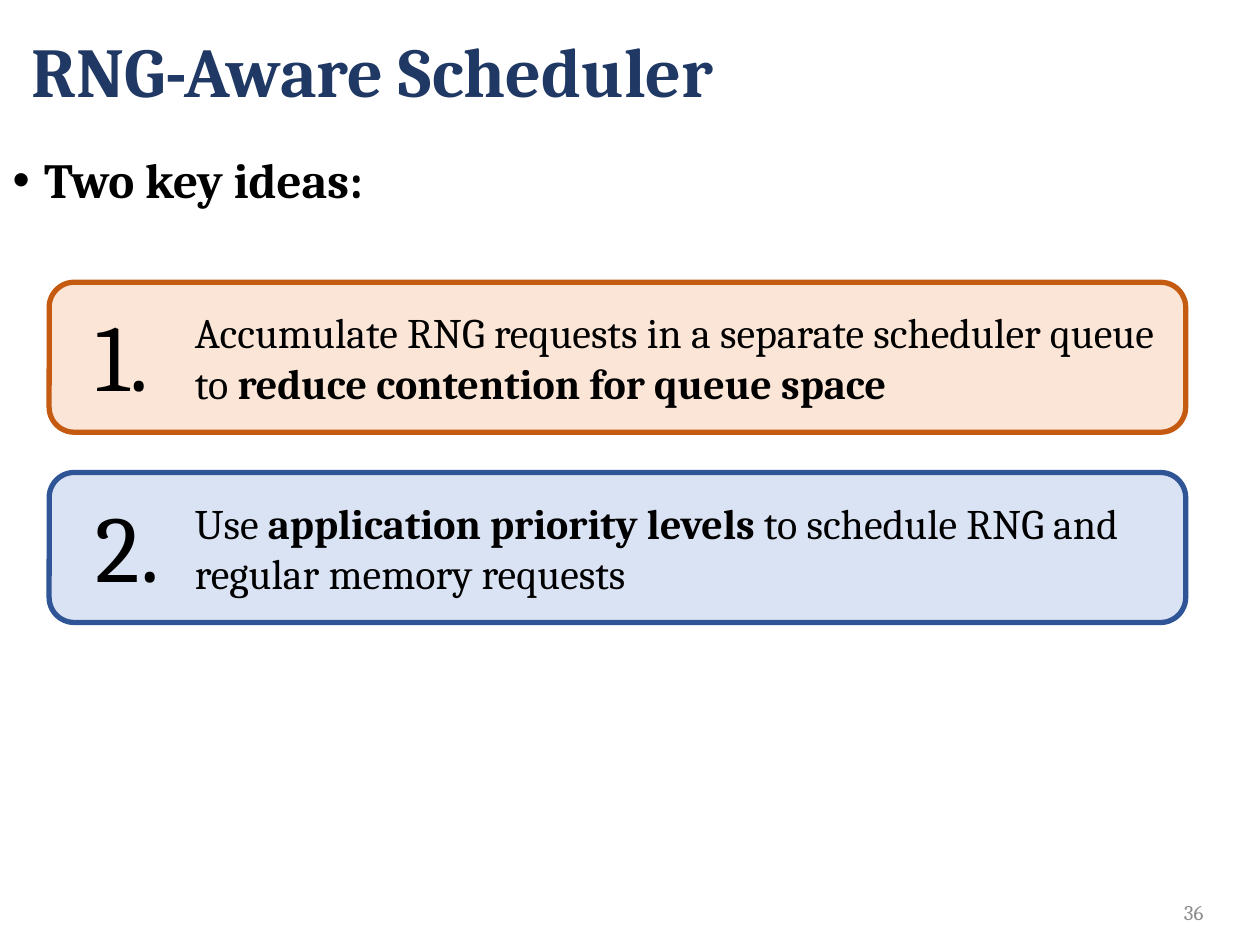
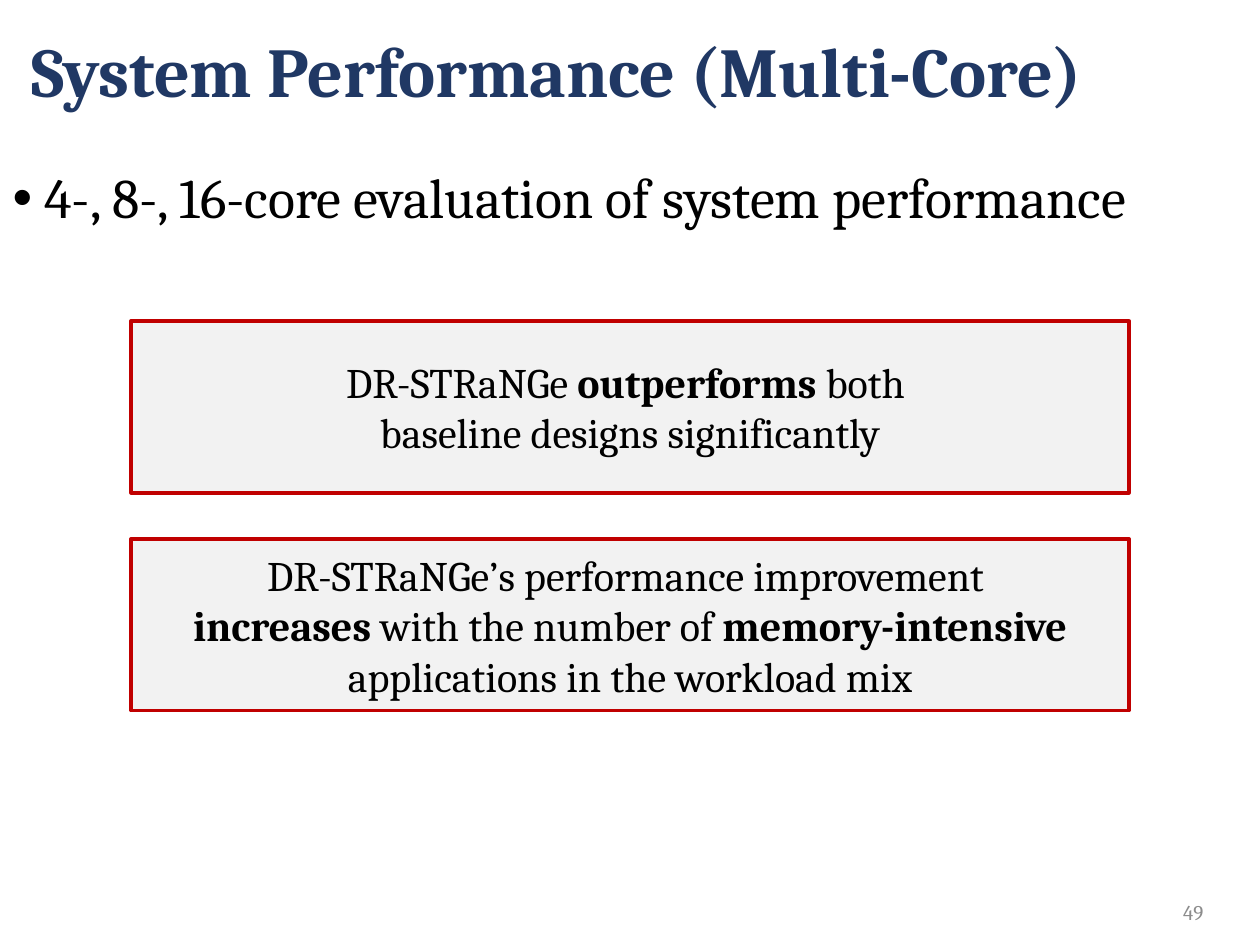
from lxml.etree import SubElement
from pptx import Presentation
from pptx.dml.color import RGBColor
from pptx.enum.shapes import MSO_SHAPE
from pptx.enum.text import MSO_ANCHOR, MSO_AUTO_SIZE, PP_ALIGN
from pptx.oxml.ns import qn
from pptx.util import Inches, Pt

FONT = "Cambria"
NAVY = RGBColor(0x20, 0x38, 0x64)
BLACK = RGBColor(0, 0, 0)
GRAY = RGBColor(0x8C, 0x8C, 0x8C)
PEACH = RGBColor(0xFB, 0xE5, 0xD6)
ORANGE = RGBColor(0xC5, 0x5A, 0x11)
PALE_BLUE = RGBColor(0xDA, 0xE3, 0xF3)
BLUE = RGBColor(0x2F, 0x55, 0x97)
LIGHT_GRAY = RGBColor(0xF2, 0xF2, 0xF2)
RED = RGBColor(0xC0, 0, 0)

# Text is a list of (words, bold) runs; a newline is a line break.
IDEAS = [
    ([("Accumulate RNG requests in a separate scheduler queue to ", False),
      ("reduce contention for queue space", True)], PEACH, ORANGE),
    ([("Use ", False), ("application priority levels ", True),
      ("to schedule RNG and regular memory requests", False)], PALE_BLUE, BLUE),
]
FINDINGS = [
    [("DR-STRaNGe ", False), ("outperforms ", True),
     ("both \nbaseline designs significantly", False)],
    [("DR-STRaNGe’s performance improvement \n", False), ("increases ", True),
     ("with the number of ", False), ("memory-intensive ", True),
     ("applications in the workload mix", False)],
]

TITLE_AREA = (0.15, 0, 9.73, 1.19)
NUMBER_AREA = (9.18, 7.13, 0.47, 0.22)
BODY_BOTTOM = 6.75
IDEA_AREA, IDEA_PITCH = (0.39, 2.24, 9.02, 1.19), 1.51
FINDING_AREA, FINDING_PITCH = (1.04, 2.55, 7.92, 1.36), 1.73


def place(shape, area):
    for name, value in zip(("left", "top", "width", "height"), area):
        setattr(shape, name, Inches(value))


def shifted(area, distance):
    left, top, width, height = area
    return left, top + distance, width, height


def write(shape, runs, size, color=BLACK, align=PP_ALIGN.LEFT,
          anchor=MSO_ANCHOR.MIDDLE, line_spacing=1.0):
    frame = shape.text_frame
    frame_format = {"word_wrap": True, "auto_size": MSO_AUTO_SIZE.NONE,
                    "vertical_anchor": anchor}
    for name, value in frame_format.items():
        setattr(frame, name, value)
    paragraph = frame.paragraphs[0]
    paragraph_format = {"alignment": align, "line_spacing": line_spacing,
                        "space_before": Pt(0)}
    for name, value in paragraph_format.items():
        setattr(paragraph, name, value)
    for words, bold in runs:
        for index, line in enumerate(words.split("\n")):
            if index:
                paragraph.add_line_break()
            if not line:
                continue
            run = paragraph.add_run()
            run.text = line
            run_format = {"name": FONT, "size": Pt(size), "bold": bold}
            for name, value in run_format.items():
                setattr(run.font, name, value)
            run.font.color.rgb = color
    return paragraph


def add_text(slide, area, text, size, **text_format):
    box = slide.shapes.add_textbox(*map(Inches, area))
    write(box, [(text, False)], size, **text_format)


def add_panel(slide, kind, area, fill, line, line_width):
    panel = slide.shapes.add_shape(kind, *map(Inches, area))
    panel.shadow.inherit = False
    panel.fill.solid()
    panel.fill.fore_color.rgb = fill
    panel.line.color.rgb = line
    panel.line.width = Pt(line_width)
    return panel


def add_slide(presentation, title, bullet, bullet_size, bullet_bold, body_top, number):
    slide = presentation.slides.add_slide(presentation.slide_layouts[1])
    place(slide.shapes.title, TITLE_AREA)
    write(slide.shapes.title, [(title, True)], 40, NAVY, line_spacing=0.9)

    body = slide.placeholders[1]
    place(body, (0, body_top, 10, BODY_BOTTOM - body_top))
    paragraph = write(body, [(bullet, bullet_bold)], bullet_size,
                      anchor=MSO_ANCHOR.TOP, line_spacing=0.9)
    properties = paragraph._p.get_or_add_pPr()
    properties.set("marL", str(Inches(0.25)))
    properties.set("indent", str(Inches(-0.25)))
    SubElement(properties, qn("a:buFont"), typeface="Arial")
    SubElement(properties, qn("a:buChar"), char="•")

    add_text(slide, NUMBER_AREA, number, 12, color=GRAY, align=PP_ALIGN.RIGHT)
    return slide


def build_scheduler_slide(presentation):
    slide = add_slide(presentation, "RNG-Aware Scheduler", "Two key ideas:",
                      28, True, 1.19, "36")
    for index, (runs, fill, line) in enumerate(IDEAS):
        area = shifted(IDEA_AREA, index * IDEA_PITCH)
        panel = add_panel(slide, MSO_SHAPE.ROUNDED_RECTANGLE, area, fill, line, 3)
        paragraph = write(panel, runs, 24)
        paragraph._p.get_or_add_pPr().set("marL", str(Inches(1)))
        add_text(slide, (0.66, area[1] + 0.07, 1.19, 1.01), f"{index + 1}.", 54,
                 anchor=MSO_ANCHOR.TOP)


def build_performance_slide(presentation):
    slide = add_slide(presentation, "System Performance (Multi-Core)",
                      "4-, 8-, 16-core evaluation of system performance",
                      32, False, 1.3, "49")
    for index, runs in enumerate(FINDINGS):
        area = shifted(FINDING_AREA, index * FINDING_PITCH)
        panel = add_panel(slide, MSO_SHAPE.RECTANGLE, area, LIGHT_GRAY, RED, 2.25)
        write(panel, runs, 24, align=PP_ALIGN.CENTER)


def main():
    presentation = Presentation()
    presentation.slide_width = Inches(10)
    presentation.slide_height = Inches(7.5)
    build_scheduler_slide(presentation)
    build_performance_slide(presentation)
    presentation.save("out.pptx")


if __name__ == "__main__":
    main()
